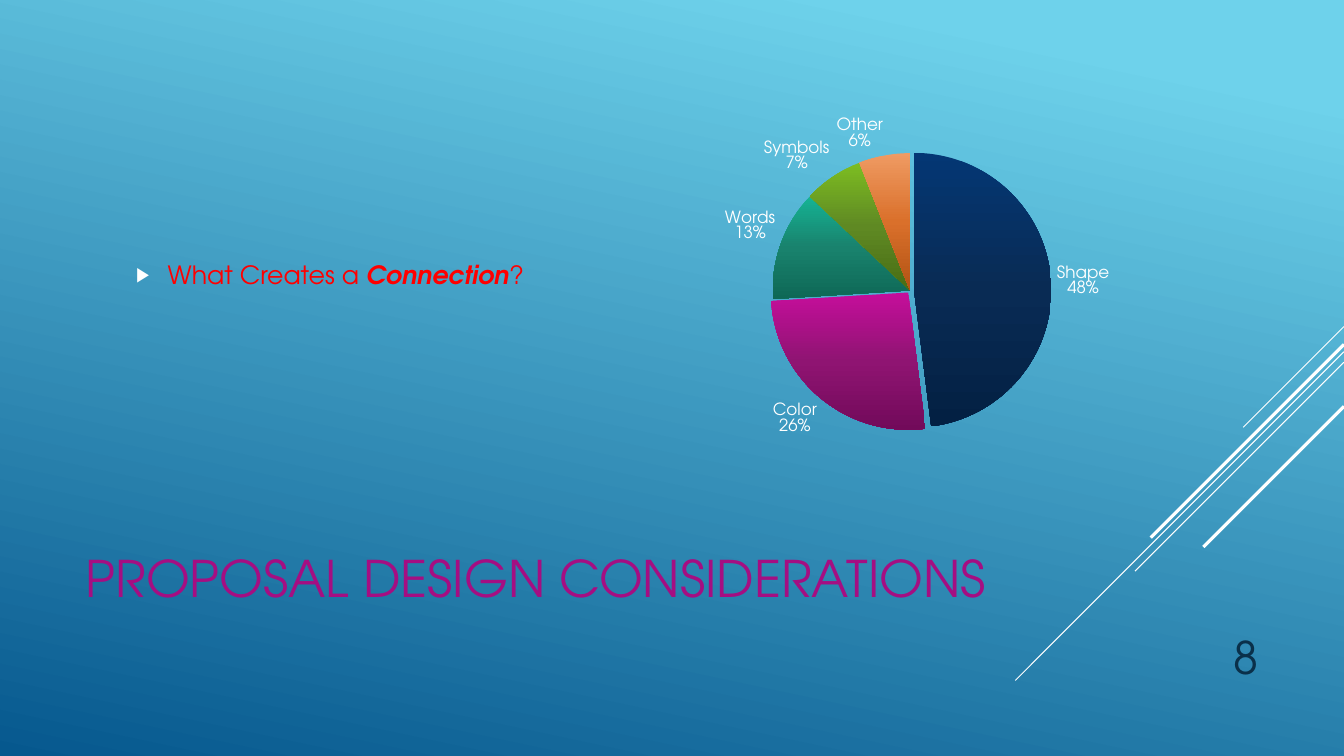
"""Build the proposal design slide with its pie chart and diagonal rays."""
from copy import deepcopy
from dataclasses import dataclass

from lxml import etree
from pptx import Presentation
from pptx import util as u
from pptx.chart.data import CategoryChartData
from pptx.dml.color import RGBColor
from pptx.enum import chart as ch, shapes, text
from pptx.oxml import parse_xml
from pptx.oxml.ns import nsdecls, qn

PX = 9525
W, H = 1280, 720
FONT = "TeX Gyre Adventor"
WHITE = RGBColor(0xFF, 0xFF, 0xFF)
RED = RGBColor(0xFF, 0x00, 0x00)
MAGENTA = RGBColor(0xA5, 0x0E, 0x82)
NAVY = RGBColor(0x0A, 0x30, 0x4A)
SKY = RGBColor(0x6E, 0xD2, 0xEB)
OCEAN = RGBColor(0x06, 0x58, 0x8E)


@dataclass
class Ray:
    """A 45 degree line running down and left from the slide's right edge."""
    top: int
    run: int
    weight: float


@dataclass
class Slice:
    """One pie slice with its gradient and its distance from the centre."""
    name: str
    value: int
    colors: tuple[RGBColor, RGBColor, RGBColor]
    explosion: int = 0


RAYS = [
    Ray(311, 96, 0.75),
    Ray(335, 313, 0.75),
    Ray(345, 199, 0.75),
    Ray(328, 184, 2.25),
    Ray(387, 134, 2.25),
]


def shades(*codes: str) -> tuple[RGBColor, ...]:
    """Turn hex codes into colours."""
    return tuple(RGBColor.from_string(code) for code in codes)


SLICES = [
    Slice("Shape", 48, shades("043774", "092B54", "032043"), 3),
    Slice("Color", 26, shades("C50E9B", "8F1472", "720A5A"), 2),
    Slice("Words", 13, shades("15B394", "19826D", "0E6856")),
    Slice("Symbols", 7, shades("7DBD22", "5F8923", "496D15")),
    Slice("Other", 6, shades("EF9B63", "DA702B", "B25314")),
]


def box(*lengths: int) -> list[int]:
    """Scale px lengths to EMU."""
    return [n * PX for n in lengths]


def style(font, size: float, color: RGBColor) -> None:
    """Set the font face, size and colour."""
    font.name, font.size = FONT, u.Pt(size)
    font.color.rgb = color


def place(sp, *lengths: int) -> None:
    """Move and size a shape."""
    sp.left, sp.top, sp.width, sp.height = box(*lengths)


def set_stops(fill, stops, angle: float) -> None:
    """Set gradient positions, colours and the counter-clockwise angle."""
    fill.gradient_angle = angle
    for stop, (position, color) in zip(fill.gradient_stops, stops):
        stop.position = position
        stop.color.rgb = color


def add_ray(s, ray: Ray) -> None:
    """Draw one diagonal ray."""
    line = s.shapes.add_connector(
        shapes.MSO_CONNECTOR.STRAIGHT,
        *box(W, ray.top, W - ray.run, ray.top + ray.run))
    line.line.color.rgb = WHITE
    line.line.width = u.Pt(ray.weight)
    etree.SubElement(line._element.spPr, qn("a:effectLst"))


def add_title(s) -> None:
    """Fill the title placeholder."""
    sp = s.shapes.title
    place(sp, 72, 471, 896, 158)
    tf = sp.text_frame
    tf.text = "PROPOSAL DESIGN CONSIDERATIONS"
    tf.vertical_anchor = text.MSO_ANCHOR.MIDDLE
    tf.auto_size = text.MSO_AUTO_SIZE.NONE
    p = tf.paragraphs[0]
    p.alignment = text.PP_ALIGN.LEFT
    style(p.runs[0].font, 36, MAGENTA)


def add_body(s) -> None:
    """Fill the body placeholder with its single bullet."""
    sp = s.placeholders[1]
    place(sp, 72, 72, 518, 379)
    tf = sp.text_frame
    tf.vertical_anchor = text.MSO_ANCHOR.MIDDLE
    tf.auto_size = text.MSO_AUTO_SIZE.NONE
    p = tf.paragraphs[0]
    p.level = 1
    p.space_before, p.space_after = u.Pt(0), u.Pt(6)
    pPr = p._p.get_or_add_pPr()
    pPr.set("marL", str(78 * PX))
    pPr.set("indent", str(-30 * PX))
    for xml in (f'<a:buClr {nsdecls("a")}><a:srgbClr val="{WHITE}"/></a:buClr>',
                f'<a:buSzPct {nsdecls("a")} val="80000"/>',
                f'<a:buChar {nsdecls("a")} char="▶"/>'):
        pPr.append(parse_xml(xml))
    for words, strong in (("What Creates a ", False), ("Connection", True), ("?", False)):
        r = p.add_run()
        r.text = words
        style(r.font, 18, RED)
        r.font.bold = r.font.italic = strong


def paint_slice(series, i: int, part: Slice) -> None:
    """Give one slice its gradient and explosion."""
    fmt = series.points[i].format
    fmt.line.fill.background()
    fmt.fill.gradient()
    gs_lst = series._element.findall(".//" + qn("a:gsLst"))[-1]
    gs_lst.append(deepcopy(gs_lst[-1]))
    set_stops(fmt.fill, zip((0, 0.5, 1), part.colors), 270)
    if part.explosion:
        dPt = series._element.findall(qn("c:dPt"))[i]
        dPt.find(qn("c:spPr")).addprevious(
            parse_xml(f'<c:explosion {nsdecls("c")} val="{part.explosion}"/>'))


def add_pie(s) -> None:
    """Add the pie chart with outside labels."""
    data = CategoryChartData()
    data.categories = [part.name for part in SLICES]
    data.add_series("Series 1", [part.value for part in SLICES])
    chart = s.shapes.add_chart(
        ch.XL_CHART_TYPE.PIE, *box(610, 72, 518, 379), data).chart
    chart.has_legend = chart.has_title = False
    style(chart.font, 12, WHITE)
    chart.plots[0].vary_by_categories = True
    series = chart.plots[0].series[0]
    for i, part in enumerate(SLICES):
        paint_slice(series, i, part)

    labels = series.data_labels
    labels.show_value = False
    labels.show_category_name = labels.show_percentage = True
    labels.number_format, labels.number_format_is_linked = "0%", False
    labels.position = ch.XL_LABEL_POSITION.OUTSIDE_END
    style(labels.font, 12, WHITE)
    labels._element.find(qn("c:showBubbleSize")).addnext(
        parse_xml(f'<c:separator {nsdecls("c")}>\n</c:separator>'))

    area = chart._chartSpace.find(".//" + qn("c:plotArea"))
    for old in area.findall(qn("c:layout")):
        area.remove(old)
    values = (("layoutTarget", "inner"), ("xMode", "edge"), ("yMode", "edge"),
              ("x", 0.159), ("y", 0.195), ("w", 0.673), ("h", 0.69))
    manual = "".join(f'<c:{tag} val="{val}"/>' for tag, val in values)
    area.insert(0, parse_xml(
        f'<c:layout {nsdecls("c")}><c:manualLayout>{manual}</c:manualLayout></c:layout>'))


def add_number(s) -> None:
    """Add the slide number."""
    tf = s.shapes.add_textbox(*box(1088, 586, 120, 70)).text_frame
    tf.word_wrap = True
    tf.vertical_anchor = text.MSO_ANCHOR.BOTTOM
    tf.text = "8"
    p = tf.paragraphs[0]
    p.alignment = text.PP_ALIGN.RIGHT
    style(p.runs[0].font, 32, NAVY)


def main() -> None:
    """Build and save the presentation."""
    prs = Presentation()
    prs.slide_width, prs.slide_height = box(W, H)
    s = prs.slides.add_slide(prs.slide_layouts[1])
    fill = s.background.fill
    fill.gradient()
    set_stops(fill, ((0.1, SKY), (1, OCEAN)), 258)
    for ray in RAYS:
        add_ray(s, ray)
    add_title(s)
    add_body(s)
    add_pie(s)
    add_number(s)
    prs.save("out.pptx")


if __name__ == "__main__":
    main()
